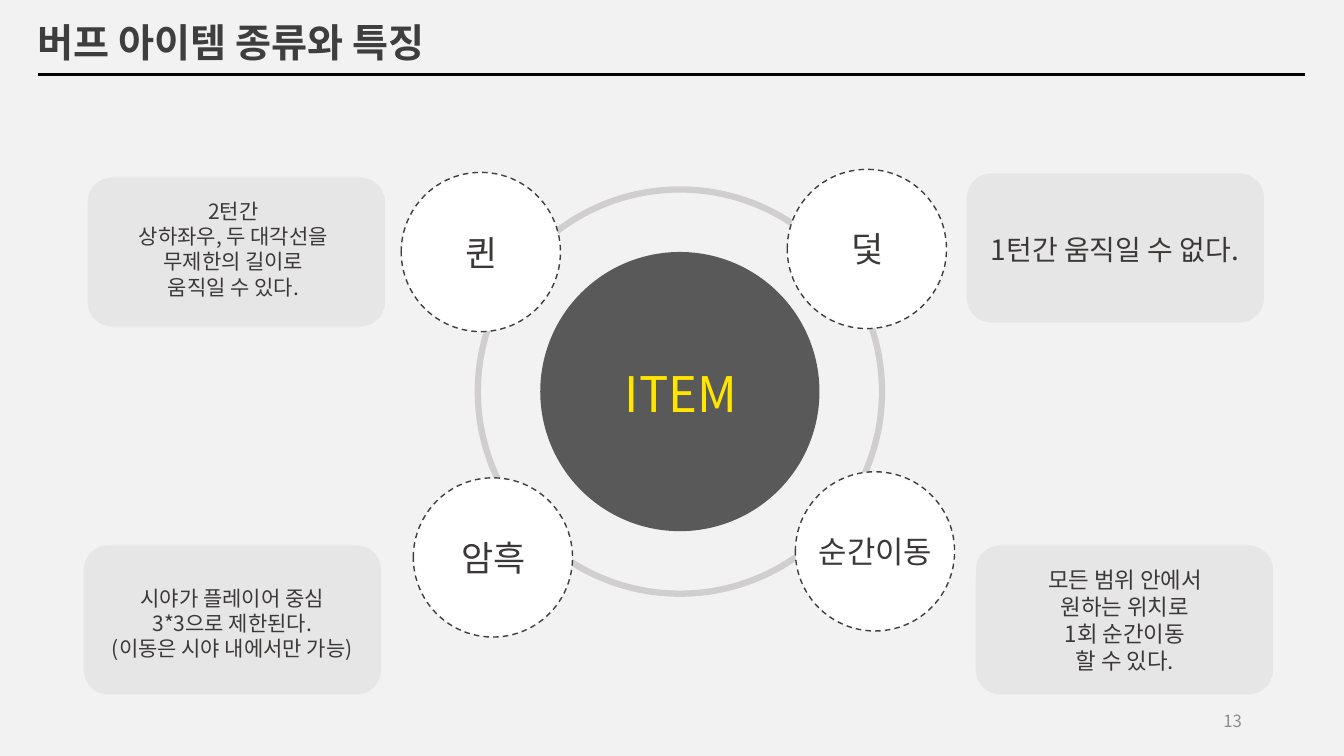
from lxml import etree
from pptx import Presentation
from pptx import util as u
from pptx.dml.color import RGBColor
from pptx.enum import dml, shapes, text
from pptx.oxml import ns

CELL = u.Inches(0.1)
COLUMNS, ROWS = 133.33, 75
FONT = "Noto Sans CJK KR"
INK, LABEL_INK, WHITE = "3E3E3E", "3B3838", "FFFFFF"
CIRCLE, CARD_WIDTH, CARD_HEIGHT = 15.8, 29.5, 14.8
ELLIPSE = shapes.MSO_SHAPE.OVAL
LEFT, CENTER, RIGHT = text.PP_ALIGN.LEFT, text.PP_ALIGN.CENTER, text.PP_ALIGN.RIGHT
TOP, MIDDLE = text.MSO_ANCHOR.TOP, text.MSO_ANCHOR.MIDDLE

ITEMS = [
    {"circle": (39.8, 17.1), "label": "퀸", "label_size": 25,
     "card": (8.7, 17.6), "inset": (3.7, 1.6, 21.5, 11), "size": 15,
     "lines": ["2턴간", "상하좌우, 두 대각선을", "무제한의 길이로", "움직일 수 있다."]},
    {"circle": (78.1, 16.8), "label": "덫", "label_size": 25,
     "card": (95.9, 17.2), "inset": (1.4, 5.4, 27.8, 4.3), "size": 20,
     "lines": ["1턴간 움직일 수 없다."], "align": LEFT, "wrap": False},
    {"circle": (41, 47.4), "label": "암흑", "label_size": 25,
     "card": (8.3, 54.1), "inset": (1.3, 3.5, 26.9, 8.4), "size": 15,
     "lines": ["시야가 플레이어 중심", "3*3으로 제한된다.", "(이동은 시야 내에서만 가능)"]},
    {"circle": (78.9, 46.8), "label": "순간이동", "label_size": 22,
     "card": (96.8, 54.1), "inset": (1.4, 1.6, 26.8, 11.7), "size": 16,
     "lines": ["모든 범위 안에서", "원하는 위치로", "1회 순간이동", "할 수 있다."]},
]


def color(value):
    """Turn a hex string into a colour."""
    return RGBColor.from_string(value)


def grid(*cells):
    """Convert grid cells to lengths."""
    return [int(cell * CELL) for cell in cells]


def write(frame, lines, size, ink, align=CENTER, anchor=TOP, wrap=True, bold=False):
    """Fill a text frame with evenly formatted paragraphs."""
    frame.text = "\n".join(lines)
    frame.word_wrap = wrap
    frame.vertical_anchor = anchor
    frame.auto_size = text.MSO_AUTO_SIZE.NONE
    for paragraph in frame.paragraphs:
        paragraph.alignment = align
        font = paragraph.font
        font.size, font.bold, font.name = u.Pt(size), bold, FONT
        font.color.rgb = color(ink)
        etree.SubElement(font._rPr, ns.qn("a:ea")).set("typeface", FONT)


def add_text(slide, box, lines, size, ink, **options):
    """Place a text box on the grid."""
    write(slide.shapes.add_textbox(*grid(*box)).text_frame, lines, size, ink, **options)


def add_shape(slide, kind, box, fill=None, line=None, width=1, dash=None):
    """Place a flat preset shape on the grid."""
    shape = slide.shapes.add_shape(kind, *grid(*box))
    shape.shadow.inherit = False
    if fill:
        shape.fill.solid()
        shape.fill.fore_color.rgb = color(fill)
    else:
        shape.fill.background()
    if line:
        shape.line.color.rgb = color(line)
        shape.line.width = u.Pt(width)
        shape.line.dash_style = dash
    else:
        shape.line.fill.background()


def add_header(slide, box):
    """Set the title with a rule under it."""
    left, top, width, height = box
    title = slide.shapes.title
    title.left, title.top, title.width, title.height = grid(left - 1.1, top, 41.9, 5.7)
    write(title.text_frame, ["버프 아이템 종류와 특징"], 28, INK,
          align=LEFT, wrap=False, bold=True)
    rule = slide.shapes.add_connector(
        shapes.MSO_CONNECTOR.STRAIGHT,
        *grid(left, top + height, left + width, top + height))
    rule.line.color.rgb = color("000000")
    rule.line.width = u.Pt(2.75)
    etree.SubElement(rule._element.spPr, ns.qn("a:effectLst"))


def add_hub(slide, box):
    """Draw the central disc, its ring and its caption."""
    left, top, width, height = box
    disc = 27.7
    add_shape(slide, ELLIPSE,
              (left + (width - disc) / 2, top + (height - disc) / 2, disc, disc), "595959")
    add_shape(slide, ELLIPSE, box, line="D0CECE", width=4.5)
    add_text(slide, (left + 13.6, top + 16.8, 13.5, 6.8), ["ITEM"], 35, "FFE500",
             align=LEFT, wrap=False)


def add_item(slide, item):
    """Draw one item circle with its label and description card."""
    left, top = item["circle"]
    add_shape(slide, ELLIPSE, (left, top, CIRCLE, CIRCLE), WHITE, INK,
              dash=dml.MSO_LINE.DASH)
    add_text(slide, (left + 1, top + 5.3, 13.9, 5.2), [item["label"]],
             item["label_size"], LABEL_INK, anchor=MIDDLE)
    left, top = item["card"]
    add_shape(slide, shapes.MSO_SHAPE.ROUNDED_RECTANGLE,
              (left, top, CARD_WIDTH, CARD_HEIGHT), "E7E6E6")
    x, y, width, height = item["inset"]
    add_text(slide, (left + x, top + y, width, height), item["lines"], item["size"],
             LABEL_INK, align=item.get("align", CENTER), wrap=item.get("wrap", True))


def main():
    """Build and save the slide."""
    presentation = Presentation()
    presentation.slide_width, presentation.slide_height = grid(COLUMNS, ROWS)
    slide = presentation.slides.add_slide(presentation.slide_layouts[5])
    slide.background.fill.solid()
    slide.background.fill.fore_color.rgb = color("F2F2F2")
    add_header(slide, (3.8, 1.3, 125.7, 6.1))
    add_hub(slide, (47.4, 18.8, 40.1, 40.1))
    for item in ITEMS:
        add_item(slide, item)
    add_text(slide, (94.2, 69.5, 30, 4), ["13"], 12, "8C8C8C", align=RIGHT, anchor=MIDDLE)
    presentation.save("out.pptx")


if __name__ == "__main__":
    main()
